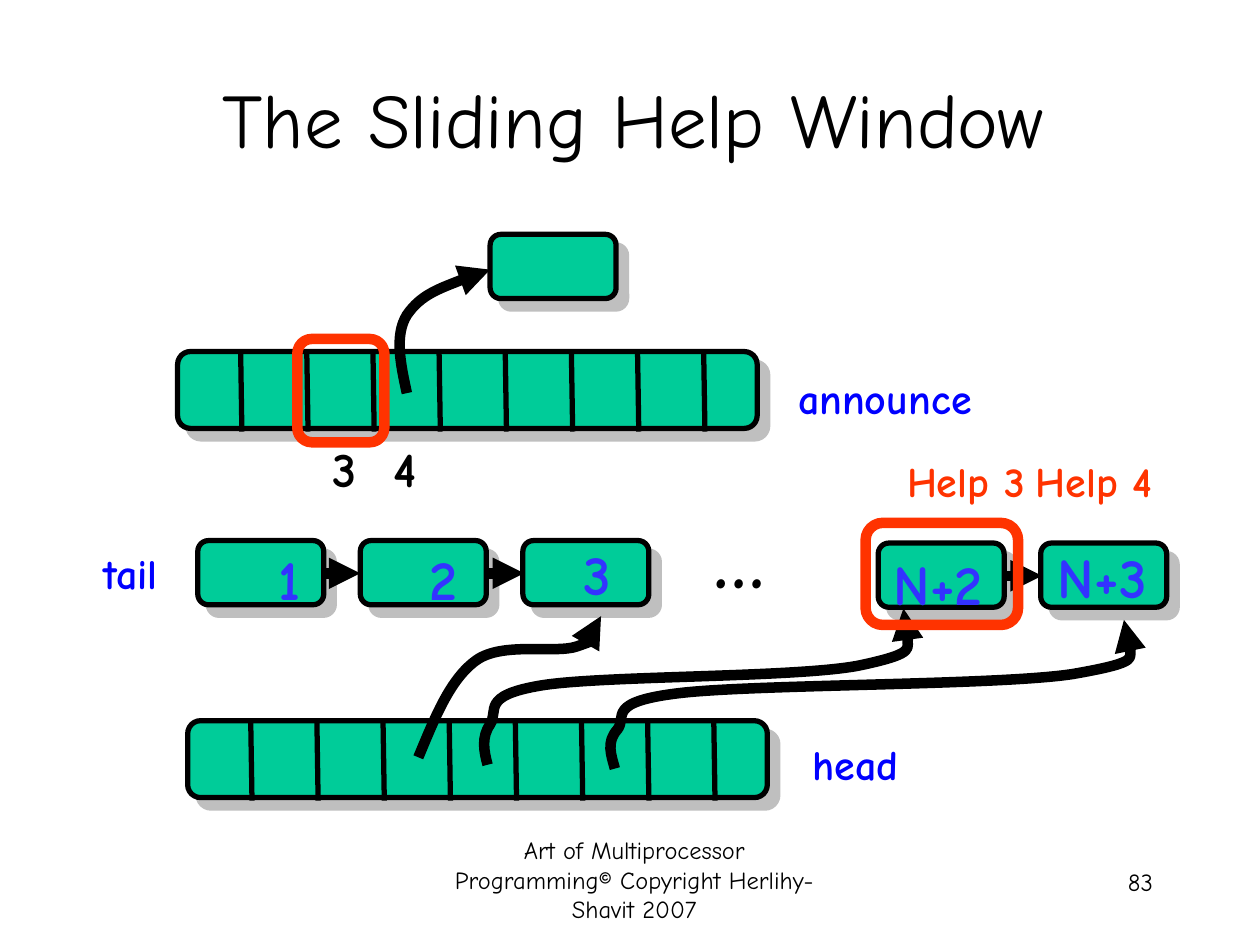
from lxml import etree
from pptx import Presentation
from pptx import util as u
from pptx.dml.color import RGBColor
from pptx.enum import shapes, text
from pptx.oxml import parse_xml
from pptx.oxml import ns

BLACK = RGBColor(0, 0, 0)
GREEN = RGBColor(0x00, 0xCC, 0x99)
BLUE = RGBColor(0x00, 0x00, 0xFF)
INDIGO = RGBColor(0x33, 0x33, 0xFF)
RED = RGBColor(0xFF, 0x33, 0x00)

LEFT, CENTER, RIGHT = (text.PP_ALIGN.LEFT, text.PP_ALIGN.CENTER,
                       text.PP_ALIGN.RIGHT)
SHADOW = (f'<a:effectLst {ns.nsdecls("a")}>'
          '<a:outerShdw blurRad="0" dist="107950" dir="2700000" algn="ctr" rotWithShape="0">'
          '<a:srgbClr val="808080"><a:alpha val="50000"/></a:srgbClr>'
          '</a:outerShdw></a:effectLst>')


class Diagram:
    """Style and drawing methods for one slide."""
    font = "Comic Neue"
    thin, thick = u.Pt(3), u.Pt(6)
    cell_w, cell_h = 1, 0.51
    pitch = 0.525

    def __init__(self, slide):
        self.s = slide

    def stroke(self, sp, color, width, arrow=False):
        sp.line.color.rgb = color
        sp.line.width = width
        if arrow:
            etree.SubElement(sp.line._get_or_add_ln(), ns.qn("a:tailEnd"), type="triangle")

    def label(self, words, x, y, w, h, size, color=BLACK, align=RIGHT,
              bold=True, wrap=False, anchor=text.MSO_ANCHOR.TOP):
        sp = self.s.shapes.add_textbox(*map(u.Inches, (x, y, w, h)))
        tf = sp.text_frame
        fit = text.MSO_AUTO_SIZE.NONE if wrap else text.MSO_AUTO_SIZE.SHAPE_TO_FIT_TEXT
        for name, value in {"word_wrap": wrap, "auto_size": fit,
                            "vertical_anchor": anchor}.items():
            setattr(tf, name, value)
        p = tf.paragraphs[0]
        p.alignment = align
        r = p.add_run()
        r.text = words
        for name, value in {"name": self.font, "size": u.Pt(size), "bold": bold}.items():
            setattr(r.font, name, value)
        r.font.color.rgb = color

    def rounded(self, x, y, w, h, color=BLACK, width=thin):
        sp = self.s.shapes.add_shape(shapes.MSO_SHAPE.ROUNDED_RECTANGLE,
                                     *map(u.Inches, (x, y, w, h)))
        sp.adjustments[0] = 0.167
        sp.shadow.inherit = False
        self.stroke(sp, color, width)
        return sp

    def box(self, x, y, w=cell_w, h=cell_h):
        sp = self.rounded(x, y, w, h)
        sp.fill.solid()
        sp.fill.fore_color.rgb = GREEN
        pr = sp._element.spPr
        pr.replace(pr.find(ns.qn("a:effectLst")), parse_xml(SHADOW))

    def window(self, x, y, w, h):
        self.rounded(x, y, w, h, RED, self.thick).fill.background()

    def line(self, x1, y1, x2, y2, width=thin, arrow=False):
        sp = self.s.shapes.add_connector(shapes.MSO_CONNECTOR.STRAIGHT,
                                         *map(u.Inches, (x1, y1, x2, y2)))
        self.stroke(sp, BLACK, width, arrow)
        etree.SubElement(sp._element.spPr, ns.qn("a:effectLst"))

    def array(self, x, y):
        self.box(x, y, 4.6, 0.61)
        for i in range(8):
            left = x + 0.5 + i * self.pitch
            self.line(left, y, left + 0.01, y + 0.635)

    def curve(self, *points):
        """Arrow along cubic curves; after the start, points come in threes."""
        start, *rest = [(u.Inches(x), u.Inches(y)) for x, y in points]
        fb = self.s.shapes.build_freeform(*start)
        fb.add_line_segments(rest, close=False)
        sp = fb.convert_to_shape()
        sp.shadow.inherit = False
        sp.fill.background()
        self.stroke(sp, BLACK, self.thick, arrow=True)
        segments = list(sp._element.iter(ns.qn("a:lnTo")))
        for i in range(0, len(segments), 3):
            bezier = etree.Element(ns.qn("a:cubicBezTo"))
            segments[i].addprevious(bezier)
            for segment in segments[i:i + 3]:
                bezier.append(segment[0])
                segment.getparent().remove(segment)


def main():
    prs = Presentation()
    prs.slide_width, prs.slide_height = u.Inches(10), u.Inches(7.5)
    s = prs.slides.add_slide(prs.slide_layouts[6])
    d = Diagram(s)

    # Title and footer
    d.label("The Sliding Help Window", 0.78, 0.31, 8.5, 1.25, 44, align=CENTER,
            bold=False, wrap=True, anchor=text.MSO_ANCHOR.MIDDLE)
    d.label("Art of Multiprocessor Programming© Copyright Herlihy-Shavit 2007",
            3.45, 6.58, 3.17, 0.5, 14, align=CENTER, bold=False, wrap=True)
    d.label("83", 7.17, 6.83, 2.08, 0.5, 14, bold=False, wrap=True)

    # Linked list of nodes
    for x, y in ((1.57, 4.29), (2.86, 4.29), (4.15, 4.29), (6.97, 4.31), (8.26, 4.31)):
        d.box(x, y)
    for x, y in ((2.56, 4.55), (3.86, 4.55), (7.97, 4.57)):
        d.line(x, y, x + 0.3, y, d.thick, arrow=True)
    for words, x, y, w in (("1", 2.11, 4.27, 0.37), ("2", 3.31, 4.27, 0.42),
                           ("3", 4.53, 4.23, 0.42), ("N+2", 6.97, 4.31, 0.93),
                           ("N+3", 8.25, 4.26, 0.95)):
        d.label(words, x, y, w, 0.64, 32, INDIGO)
    d.label("…", 5.56, 4.01, 0.61, 0.84, 44)

    # Head and announce arrays, with the announced node
    d.array(1.49, 5.72)
    d.array(1.41, 2.79)
    d.box(3.89, 1.86)
    for words, x, y, w in (("head", 6.35, 5.81, 0.88), ("announce", 6.23, 2.91, 1.58),
                           ("tail", 0.71, 4.3, 0.64)):
        d.label(words, x, y, w, 0.5, 24, BLUE)

    # Pointers from array cells to nodes
    d.curve((3.23, 3.12), (3.18, 2.89), (3.13, 2.66), (3.23, 2.5),
            (3.34, 2.34), (3.62, 2.23), (3.89, 2.14))
    d.curve((4.88, 6.1), (4.85, 5.99), (4.81, 5.89), (4.9, 5.79),
            (4.98, 5.69), (4.8, 5.57), (5.4, 5.5),
            (6, 5.43), (7.92, 5.44), (8.51, 5.35),
            (9.09, 5.25), (9.01, 5.08), (8.92, 4.92))
    d.curve((3.32, 6.01), (3.45, 5.7), (3.57, 5.39), (3.78, 5.24),
            (3.99, 5.09), (4.41, 5.19), (4.58, 5.13),
            (4.75, 5.07), (4.76, 4.98), (4.77, 4.89))
    d.curve((3.87, 6.07), (3.84, 5.96), (3.82, 5.85), (3.89, 5.75),
            (3.96, 5.64), (3.81, 5.52), (4.3, 5.44),
            (4.79, 5.36), (6.35, 5.38), (6.83, 5.28),
            (7.3, 5.18), (7.23, 5), (7.17, 4.83))

    # Help windows and their labels
    d.window(6.87, 4.15, 1.21, 0.81)
    d.window(2.36, 2.69, 0.69, 0.82)
    for words, x in (("Help 3", 7.1), ("Help 4", 8.12)):
        d.label(words, x, 3.57, 1.18, 0.5, 24, RED, LEFT)
    for words, x in (("3", 2.54), ("4", 3.02)):
        d.label(words, x, 3.43, 0.38, 0.57, 28)

    prs.save("out.pptx")


if __name__ == "__main__":
    main()
